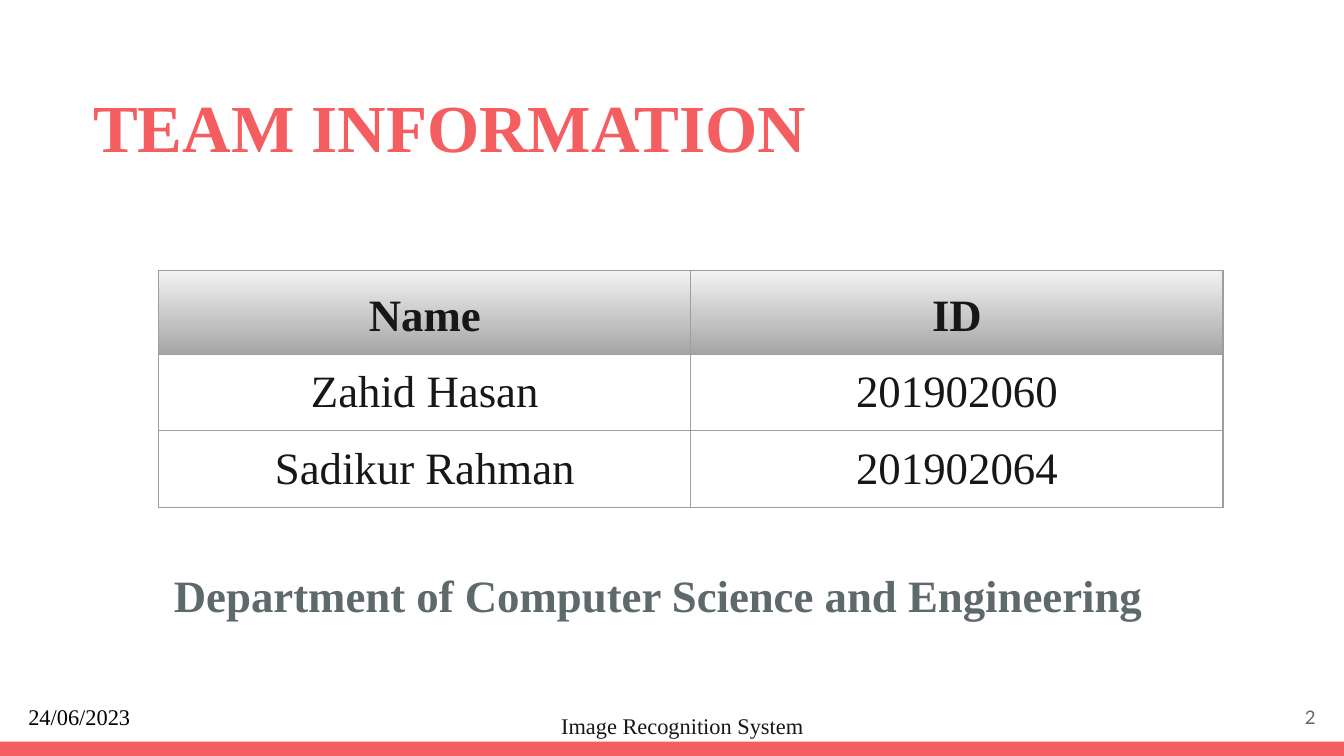
"""Build the team information slide."""
from dataclasses import dataclass

from lxml import etree
from pptx import Presentation
from pptx import util as u
from pptx.dml.color import RGBColor
from pptx.enum import shapes, text
from pptx.oxml import ns

EMU_PER_PX = 5715
SLIDE_WIDTH, SLIDE_HEIGHT = 1600, 900
INSET = 16


@dataclass(frozen=True)
class Theme:
    """Colours, fonts and type sizes of the deck."""
    coral: str = "F55E61"
    slate: str = "5E696C"
    ink: str = "171717"
    black: str = "000000"
    border: str = "9E9E9E"
    header_top: str = "F2F2F2"
    header_bottom: str = "A6A6A6"
    serif: str = "Times New Roman"
    sans: str = "Lato"
    title: int = 36
    body: int = 24
    footer: int = 12
    number: int = 10


@dataclass(frozen=True)
class Frame:
    """Position and size in px."""
    left: int
    top: int
    width: int
    height: int

    def emu(self) -> tuple[u.Emu, ...]:
        """Return the four lengths in EMU."""
        return tuple(px(n) for n in (self.left, self.top, self.width, self.height))


@dataclass(frozen=True)
class Style:
    """Look of one paragraph."""
    size: int
    color: str
    font: str
    bold: bool = False
    align: text.PP_ALIGN = text.PP_ALIGN.LEFT
    line: float = 1.0
    before: int = 0


@dataclass(frozen=True)
class Label:
    """A text box with its wording, place and style."""
    words: str
    frame: Frame
    style: Style
    anchor: text.MSO_ANCHOR = text.MSO_ANCHOR.TOP
    inset: int = INSET


THEME = Theme()
CENTER = text.PP_ALIGN.CENTER
TITLE = Label("TEAM INFORMATION", Frame(95, 85, 1408, 147),
              Style(THEME.title, THEME.coral, THEME.serif, bold=True))
LABELS = (
    Label("24/06/2023", Frame(18, 821, 259, 64),
          Style(THEME.footer, THEME.black, THEME.serif)),
    Label("Image Recognition System", Frame(453, 832, 694, 43),
          Style(THEME.footer, THEME.ink, THEME.serif, before=6), inset=215),
    Label("2", Frame(1486, 819, 96, 69),
          Style(THEME.number, THEME.slate, THEME.sans, align=text.PP_ALIGN.RIGHT),
          anchor=text.MSO_ANCHOR.MIDDLE),
    Label("Department of Computer Science and Engineering", Frame(178, 650, 1222, 98),
          Style(THEME.body, THEME.slate, THEME.serif, bold=True, line=1.15, before=24),
          inset=29),
)
TEAM = (("Name", "ID"), ("Zahid Hasan", "201902060"), ("Sadikur Rahman", "201902064"))
ROW_HEIGHT = 67
TEAM_FRAME = Frame(189, 322, 1267, ROW_HEIGHT * len(TEAM))
BAR_FRAME = Frame(0, 883, SLIDE_WIDTH, 17)
HEADER_STYLE = Style(THEME.body, THEME.ink, THEME.serif, True, CENTER, 1.15)
CELL_STYLE = Style(THEME.body, THEME.ink, THEME.serif, align=CENTER)


def px(length: int) -> u.Emu:
    """Turn px into EMU."""
    return u.Emu(length * EMU_PER_PX)


def format_para(para, style: Style) -> None:
    """Apply a style to a paragraph and its runs."""
    para.alignment = style.align
    para.line_spacing = style.line
    para.space_before = u.Pt(style.before)
    for span in para.runs:
        span.font.size = u.Pt(style.size)
        span.font.name = style.font
        span.font.bold = style.bold
        span.font.color.rgb = RGBColor.from_string(style.color)


def set_margins(target, left: int = INSET) -> None:
    """Set the insets of a text frame or cell."""
    target.margin_left = px(left)
    target.margin_top = target.margin_right = target.margin_bottom = px(INSET)


def fill_label(box, label: Label) -> None:
    """Place a box and write its label."""
    box.left, box.top, box.width, box.height = label.frame.emu()
    frame = box.text_frame
    frame.text = label.words
    frame.word_wrap = True
    frame.auto_size = text.MSO_AUTO_SIZE.NONE
    frame.vertical_anchor = label.anchor
    set_margins(frame, label.inset)
    format_para(frame.paragraphs[0], label.style)


def add_borders(cell) -> None:
    """Draw a thin line on each side of a cell."""
    properties = cell._tc.get_or_add_tcPr()
    for side in ("a:lnL", "a:lnR", "a:lnT", "a:lnB"):
        line = etree.SubElement(properties, ns.qn(side), w=str(u.Pt(0.75)))
        fill = etree.SubElement(line, ns.qn("a:solidFill"))
        etree.SubElement(fill, ns.qn("a:srgbClr"), val=THEME.border)


def fill_header(cell) -> None:
    """Shade a header cell from top to bottom."""
    cell.fill.gradient()
    cell.fill.gradient_angle = 270
    for stop, color in zip(cell.fill.gradient_stops, (THEME.header_top, THEME.header_bottom)):
        stop.color.rgb = RGBColor.from_string(color)


def add_team_table(slide) -> None:
    """Add the table of names and IDs."""
    table = slide.shapes.add_table(len(TEAM), len(TEAM[0]), *TEAM_FRAME.emu()).table
    table.horz_banding = False
    for row, values in zip(table.rows, TEAM):
        header = values is TEAM[0]
        for cell, value in zip(row.cells, values):
            cell.text = value
            set_margins(cell)
            format_para(cell.text_frame.paragraphs[0], HEADER_STYLE if header else CELL_STYLE)
            add_borders(cell)
            if header:
                fill_header(cell)
            else:
                cell.fill.background()


def add_footer_bar(slide) -> None:
    """Add the coral bar along the bottom edge."""
    bar = slide.shapes.add_shape(shapes.MSO_SHAPE.RECTANGLE, *BAR_FRAME.emu())
    bar.shadow.inherit = False
    bar.fill.solid()
    bar.fill.fore_color.rgb = RGBColor.from_string(THEME.coral)
    bar.line.fill.background()


def main() -> None:
    """Build and save the deck."""
    deck = Presentation()
    deck.slide_width, deck.slide_height = px(SLIDE_WIDTH), px(SLIDE_HEIGHT)
    slide = deck.slides.add_slide(deck.slide_layouts.get_by_name("Title Only"))
    add_footer_bar(slide)
    fill_label(slide.shapes.title, TITLE)
    add_team_table(slide)
    for label in LABELS:
        fill_label(slide.shapes.add_textbox(*label.frame.emu()), label)
    deck.save("out.pptx")


if __name__ == "__main__":
    main()
